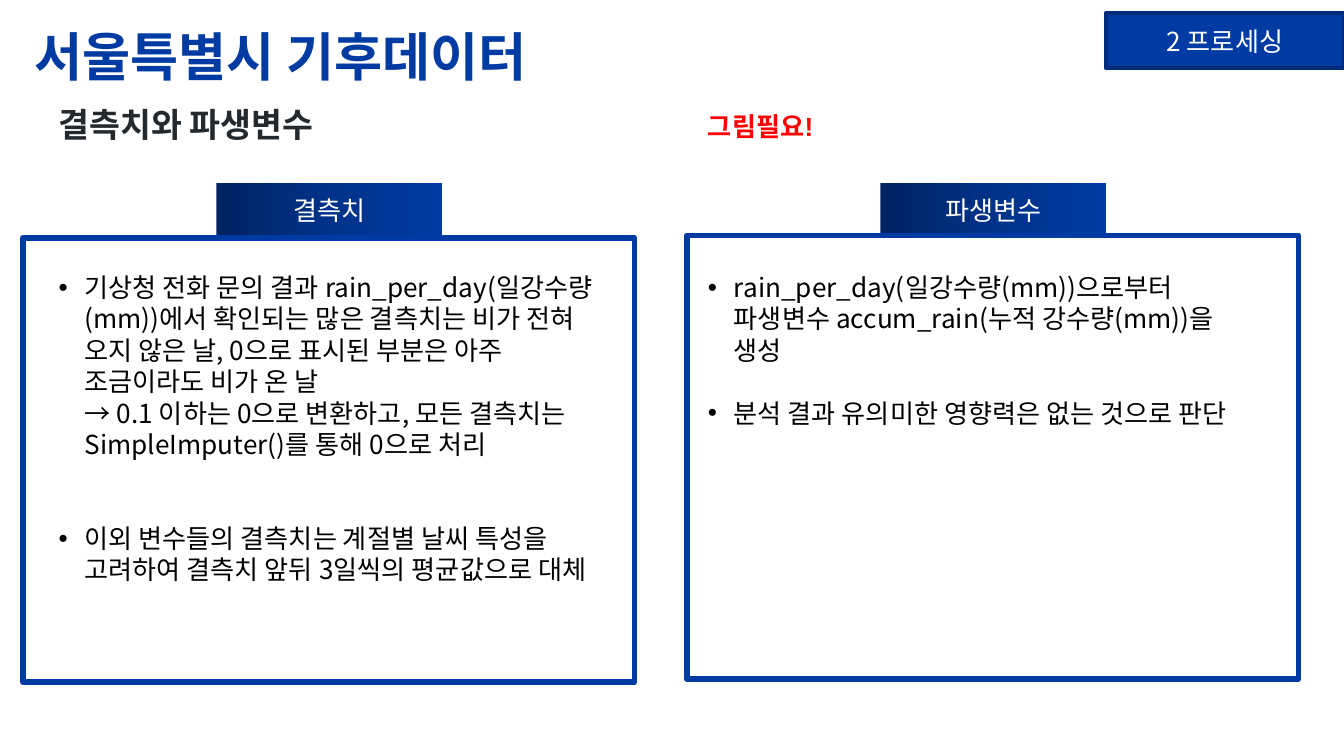
from copy import deepcopy

from lxml import etree
from pptx import Presentation
from pptx.dml.color import RGBColor
from pptx.enum.shapes import MSO_SHAPE
from pptx.enum.text import MSO_ANCHOR, PP_ALIGN
from pptx.oxml.ns import qn
from pptx.util import Cm, Pt

RECTANGLE = MSO_SHAPE.RECTANGLE
MIDDLE, TOP = MSO_ANCHOR.MIDDLE, MSO_ANCHOR.TOP
CENTER, LEFT = PP_ALIGN.CENTER, PP_ALIGN.LEFT
BLUE = RGBColor(0x00, 0x3B, 0xA3)
DARK_BLUE = RGBColor(0x00, 0x2C, 0x79)
TAB_STOPS = [RGBColor(0x00, 0x23, 0x61), RGBColor(0x00, 0x32, 0x89), BLUE]
WHITE = RGBColor(0xFF, 0xFF, 0xFF)
BLACK = RGBColor(0x00, 0x00, 0x00)
CHARCOAL = RGBColor(0x24, 0x29, 0x2E)
RED = RGBColor(0xFF, 0x00, 0x00)
FONT = "Noto Sans CJK KR"

deck = Presentation()
deck.slide_width, deck.slide_height = Cm(25.4), Cm(14.28)
page = deck.slides.add_slide(deck.slide_layouts[6])


def write(shape, lines, size, color, bold=False, font=FONT, align=LEFT, anchor=MIDDLE):
    frame = shape.text_frame
    frame.text = "\n".join(lines)
    frame.word_wrap = True
    frame.vertical_anchor = anchor
    for para in frame.paragraphs:
        para.alignment = align
        for span in para.runs:
            span.font.size = Pt(size)
            span.font.bold = bold
            span.font.color.rgb = color
            span.font.name = font
            east_asian = etree.SubElement(span.font._element, qn("a:ea"))
            east_asian.set("typeface", font)
    return frame


def add_rectangle(left, top, width, height):
    shape = page.shapes.add_shape(RECTANGLE, Cm(left), Cm(top), Cm(width), Cm(height))
    shape.shadow.inherit = False
    return shape


# Headings: left, top, width, height, text, size, colour, font
headings = [
    (0.41, 0.25, 21.44, 1.6, "서울특별시 기후데이터", 28, BLUE, FONT),
    (0.86, 1.83, 22.22, 1.02, "결측치와 파생변수", 18, CHARCOAL, FONT),
    (13.13, 1.96, 2.67, 0.86, "그림필요!", 14, RED, "Arial"),
]
for left, top, width, height, text, size, color, font in headings:
    box = page.shapes.add_textbox(Cm(left), Cm(top), Cm(width), Cm(height))
    write(box, [text], size, color, bold=True, font=font)

# Section marker
marker = add_rectangle(20.9, 0.25, 4.5, 1.04)
marker.fill.solid()
marker.fill.fore_color.rgb = BLUE
marker.line.color.rgb = DARK_BLUE
marker.line.width = Pt(2)
write(marker, ["2 프로세싱"], 14, WHITE, align=CENTER)

# Panels: tab left, frame left, frame top, text left, tab label,
# then paragraphs as (bulleted, space before in points, text)
panels = [
    (4.09, 0.43, 4.5, 0.86, "결측치", [
        (True, 0, "기상청 전화 문의 결과 rain_per_day(일강수량(mm))에서 확인되는 많은 결측치는 "
                  "비가 전혀 오지 않은 날, 0으로 표시된 부분은 아주 조금이라도 비가 온 날"),
        (False, 0, "→ 0.1 이하는 0으로 변환하고, 모든 결측치는 SimpleImputer()를 통해 0으로 처리"),
        (True, 33.6, "이외 변수들의 결측치는 계절별 날씨 특성을 고려하여 결측치 앞뒤 3일씩의 "
                     "평균값으로 대체"),
    ]),
    (16.64, 12.98, 4.45, 13.13, "파생변수", [
        (True, 0, "rain_per_day(일강수량(mm))으로부터 파생변수 accum_rain(누적 강수량(mm))을 생성"),
        (True, 16.8, "분석 결과 유의미한 영향력은 없는 것으로 판단"),
    ]),
]
for tab_left, frame_left, frame_top, text_left, label, items in panels:
    # Gradient tab
    tab = add_rectangle(tab_left, 3.45, 4.27, 1.02)
    tab.fill.gradient()
    tab.fill.gradient_angle = 0
    first_stop = tab.fill.gradient_stops[0]._gs
    first_stop.addnext(deepcopy(first_stop))
    for stop, color, position in zip(tab.fill.gradient_stops, TAB_STOPS, (0, 0.5, 1)):
        stop.color.rgb = color
        stop.position = position
    tab.line.fill.background()
    write(tab, [label], 14, WHITE, align=CENTER)

    # Outlined frame
    outline = add_rectangle(frame_left, frame_top, 11.56, 8.38)
    outline.fill.background()
    outline.line.color.rgb = BLUE
    outline.line.width = Pt(3)

    # Body text
    body = page.shapes.add_textbox(Cm(text_left), Cm(5), Cm(10.72), Cm(7.44))
    frame = write(body, [text for _, _, text in items], 14, BLACK, anchor=TOP)
    for para, (bulleted, space, _) in zip(frame.paragraphs, items):
        para.line_spacing = Pt(16.8)
        para.space_before = Pt(space)
        properties = para._p.get_or_add_pPr()
        properties.set("marL", str(Cm(0.49)))
        if bulleted:
            properties.set("indent", str(Cm(-0.49)))
            etree.SubElement(properties, qn("a:buFont")).set("typeface", "Arial")
            etree.SubElement(properties, qn("a:buChar")).set("char", "•")

deck.save("out.pptx")
